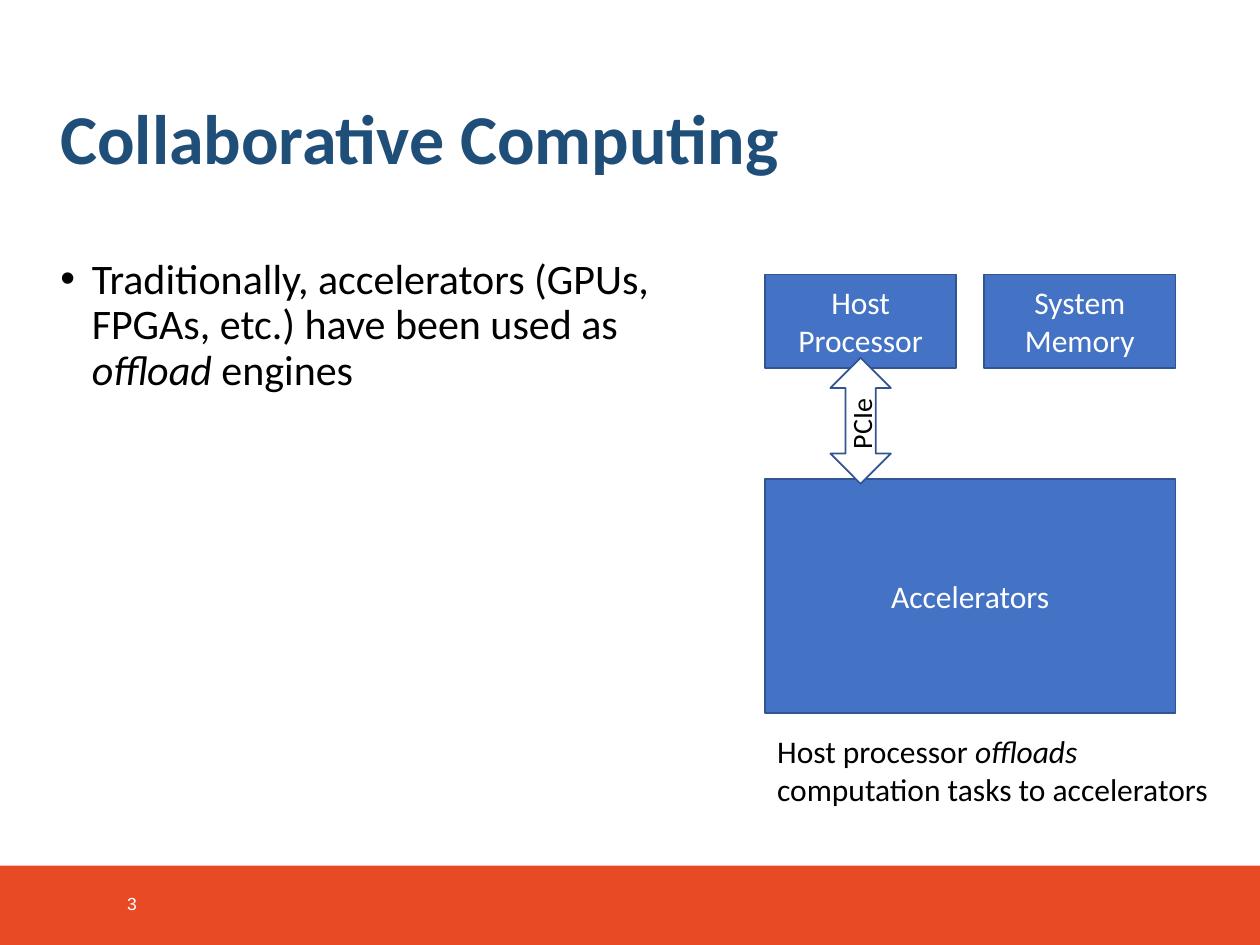
from pptx import Presentation
from pptx.dml.color import RGBColor
from pptx.enum.shapes import MSO_SHAPE
from pptx.enum.text import MSO_ANCHOR, MSO_AUTO_SIZE, PP_ALIGN
from pptx.oxml import parse_xml
from pptx.oxml.ns import nsdecls
from pptx.util import Inches, Pt

RECT, ARROW = MSO_SHAPE.RECTANGLE, MSO_SHAPE.UP_DOWN_ARROW
MID, TOP = MSO_ANCHOR.MIDDLE, MSO_ANCHOR.TOP
LEFT, CENTER = PP_ALIGN.LEFT, PP_ALIGN.CENTER
GROW = MSO_AUTO_SIZE.SHAPE_TO_FIT_TEXT
WIDE, HIGH = 10, 7.5
BLUE, EDGE, NAVY, BRAND = "4472C4", "325491", "1F4E79", "E84A26"
WHITE, BLACK = "FFFFFF", "000000"


def color(code):
    return RGBColor.from_string(code)


def put(item, values):
    for name, value in values.items():
        setattr(item, name, value)


def write(shape, runs, size, ink, anchor=TOP, align=LEFT, bold=False, wrap=True):
    """Fill a shape with one paragraph of (text, italic) runs."""
    frame = shape.text_frame
    put(frame, {"word_wrap": wrap, "vertical_anchor": anchor})
    para = frame.paragraphs[0]
    para.alignment = align
    for text, slant in runs:
        run = para.add_run()
        run.text = text
        put(run.font, {"name": "Calibri", "size": Pt(size),
                       "bold": bold, "italic": slant})
        run.font.color.rgb = color(ink)
    return para


def label(shapes, box, runs, size, ink, **form):
    text = shapes.add_textbox(*map(Inches, box))
    return text, write(text, runs, size, ink, **form)


def block(shapes, kind, box, fill, edge=None):
    shape = shapes.add_shape(kind, *map(Inches, box))
    shape.shadow.inherit = False
    shape.fill.solid()
    shape.fill.fore_color.rgb = color(fill)
    if edge:
        shape.line.color.rgb = color(edge)
        shape.line.width = Pt(1)
    else:
        shape.line.fill.background()
    return shape


def footer(shapes, box, number):
    """Coloured band with the page number."""
    x, y, w, h = box
    block(shapes, RECT, box, BRAND)
    spot = (x + 0.091 * w, y + 0.1, 0.52, 0.4)
    para = label(shapes, spot, [(number, False)], 10, WHITE, anchor=MID)[1]
    para.runs[0].font.name = "Arial"


def heading(shapes, box, text):
    para = label(shapes, box, [(text, False)], 40, NAVY, anchor=MID, bold=True)[1]
    para.line_spacing = 0.9


def points(shapes, box, items):
    """Bulleted list with a hanging indent."""
    text = shapes.add_textbox(*map(Inches, box))
    for runs in items:
        para = write(text, runs, 24, BLACK)
        put(para, {"line_spacing": 0.9, "space_before": Pt(12)})
        props = para._p.get_or_add_pPr()
        props.set("marL", str(Inches(0.25)))
        props.set("indent", str(-Inches(0.25)))
        for mark in ('<a:buFont %s typeface="Arial"/>', '<a:buChar %s char="•"/>'):
            props.append(parse_xml(mark % nsdecls("a")))


def diagram(shapes, box):
    """Two units on top, accelerators below, a bus between them."""
    x, y, w, h = box
    unit, tall, gap = 1.52, 0.74, 0.22
    span = 2 * unit + gap
    low = y + 1.62
    parts = [("Host Processor", (x, y, unit, tall)),
             ("System Memory", (x + unit + gap, y, unit, tall)),
             ("Accelerators", (x, low, span, 1.86))]
    for name, place in parts:
        shape = block(shapes, RECT, place, BLUE, EDGE)
        write(shape, [(name, False)], 18, WHITE, anchor=MID, align=CENTER)

    # Bus arrow, centred under the host
    bus = shapes.add_group_shape().shapes
    mid = x + unit / 2
    block(bus, ARROW, (mid - 0.24, low - 0.96, 0.48, 1), WHITE, EDGE)
    tag = label(bus, (mid - 0.3, low - 0.62, 0.61, 0.37), [("PCIe", False)],
                16, BLACK, align=CENTER, wrap=False)[0]
    tag.rotation = 270
    tag.text_frame.auto_size = GROW

    # Caption along the bottom
    runs = [("Host processor ", False), ("offloads ", True),
            ("computation tasks to accelerators", False)]
    note = label(shapes, (x, y + h - 0.71, w, 0.71), runs, 18, BLACK)[0]
    note.text_frame.auto_size = GROW


def main():
    deck = Presentation()
    put(deck, {"slide_width": Inches(WIDE), "slide_height": Inches(HIGH)})
    shapes = deck.slides.add_slide(deck.slide_layouts[6]).shapes
    edge, band = 0.038 * WIDE, 0.084 * HIGH
    footer(shapes, (0, HIGH - band, WIDE, band), "3")
    heading(shapes, (edge, 0.4, 0.919 * WIDE, 1.45), "Collaborative Computing")
    points(shapes, (edge, 2, 0.501 * WIDE, 4.6), [[
        ("Traditionally, accelerators (GPUs, FPGAs, etc.) have been used as ", False),
        ("offload", True), (" engines", False)]])
    diagram(shapes, (0.607 * WIDE, 2.18, 0.366 * WIDE, 4.29))
    deck.save("out.pptx")


if __name__ == "__main__":
    main()
